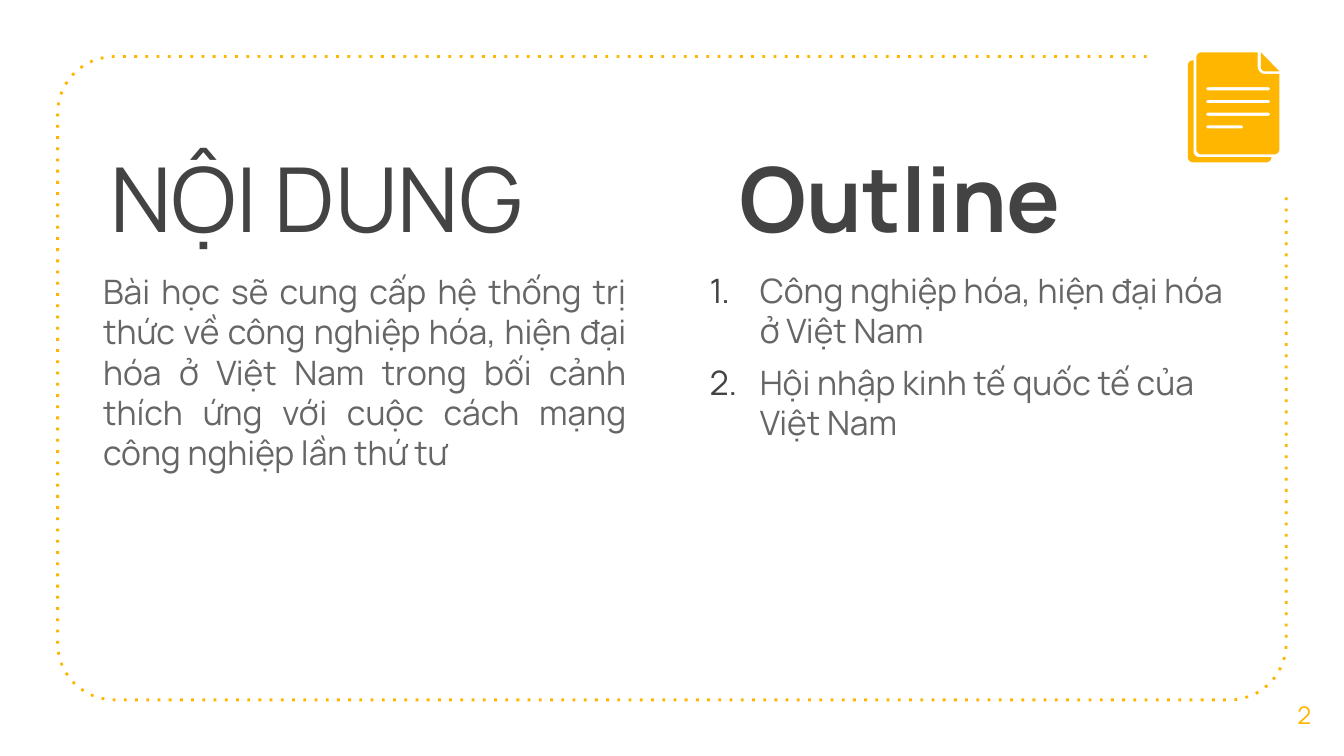
"""Build the outline slide of the lesson."""
from math import cos, radians, sin

from pptx import Presentation
from pptx.dml.color import RGBColor
from pptx.enum.dml import MSO_LINE
from pptx.enum.text import MSO_ANCHOR, MSO_AUTO_SIZE, PP_ALIGN
from pptx.oxml.ns import qn
from pptx.oxml.xmlchemy import OxmlElement
from pptx.util import Cm, Pt

GOLD = RGBColor(0xFF, 0xB6, 0x00)
DARK = RGBColor(0x43, 0x43, 0x43)
GRAY = RGBColor(0x66, 0x66, 0x66)
FONT = "Manrope"
LEFT, CENTER, JUST = PP_ALIGN.LEFT, PP_ALIGN.CENTER, PP_ALIGN.JUSTIFY
TOP, MIDDLE = MSO_ANCHOR.TOP, MSO_ANCHOR.MIDDLE
FIXED, DOT = MSO_AUTO_SIZE.NONE, MSO_LINE.ROUND_DOT

INTRO = ("Bài học sẽ cung cấp hệ thống trị thức về công nghiệp hóa, hiện đại hóa "
         "ở Việt Nam trong bối cảnh thích ứng với cuộc cách mạng công nghiệp lần thứ tư")
TOPICS = ("Công nghiệp hóa, hiện đại hóa ở Việt Nam",
          "Hội nhập kinh tế quốc tế của Việt Nam")


def place(shape, box):
    """Set left, top, width and height, given in centimetres."""
    shape.left, shape.top, shape.width, shape.height = map(Cm, box)


def number(para):
    """Turn a paragraph into a numbered item with a hanging indent."""
    props = para._p.get_or_add_pPr()
    props.set("marL", str(Cm(0.95)))
    props.set("indent", str(-Cm(0.95)))
    color = OxmlElement("a:buClr")
    shade = OxmlElement("a:srgbClr")
    shade.set("val", str(DARK))
    color.append(shade)
    font = OxmlElement("a:buFont")
    font.set("typeface", FONT)
    style = OxmlElement("a:buAutoNum")
    style.set("type", "arabicPeriod")
    props.extend((color, font, style))


def write(shape, *lines, size=18, color=GRAY, bold=False, align=LEFT,
          anchor=TOP, before=0, listed=False):
    """Fill a shape with formatted paragraphs."""
    frame = shape.text_frame
    frame.word_wrap, frame.auto_size = True, FIXED
    frame.vertical_anchor = anchor
    frame.margin_left = frame.margin_right = Cm(0.25)
    frame.margin_top = frame.margin_bottom = Cm(0.25)
    for i, line in enumerate(lines):
        para = frame.paragraphs[0] if i == 0 else frame.add_paragraph()
        para.alignment, para.space_before = align, Pt(before)
        run = para.add_run()
        run.text = line
        run.font.name, run.font.size = FONT, Pt(size)
        run.font.bold, run.font.color.rgb = bold, color
        if listed:
            number(para)


def label(slide, box, *lines, **style):
    """Add a text box with formatted text."""
    shape = slide.shapes.add_textbox(*map(Cm, box))
    write(shape, *lines, **style)


def arc(x, y, radius, start, end):
    """Return points along an arc around a centre, with angles in degrees."""
    turns = [radians(start + (end - start) * i / 12) for i in range(13)]
    return [(x + radius * cos(t), y + radius * sin(t)) for t in turns]


def trace(shapes, *paths, close=True):
    """Draw one freeform from one or more point lists in centimetres."""
    paths = [[(Cm(x), Cm(y)) for x, y in path] for path in paths]
    pen = shapes.build_freeform(*paths[0][0])
    for i, path in enumerate(paths):
        if i:
            pen.move_to(*path[0])
        pen.add_line_segments(path[1:], close=close)
    shape = pen.convert_to_shape()
    shape.shadow.inherit = False
    return shape


def border(slide):
    """Draw the dotted rounded frame that is open at the top right."""
    left, top, right, base, r = 1.09, 1.07, 24.31, 13.23, 1.07
    path = [(21.67, top), *arc(left + r, top + r, r, 270, 180),
            *arc(left + r, base - r, r, 180, 90),
            *arc(right - r, base - r, r, 90, 0), (right, 3.71)]
    shape = trace(slide.shapes, path, close=False)
    shape.fill.background()
    shape.line.color.rgb, shape.line.width = GOLD, Pt(1.5)
    shape.line.dash_style = DOT
    shape._element.spPr.find(qn("a:ln")).find(qn("a:prstDash")).set("val", "dot")


def pill(left, right, y, r=0.03):
    """Return the outline of a thin bar with round ends."""
    return arc(left, y, r, 90, 270) + arc(right, y, r, -90, 90)


def icon(slide):
    """Draw the stacked paper sheets."""
    shapes = slide.shapes.add_group_shape().shapes
    r = 0.1
    back = [(22.56, 1.14), *arc(22.45 + r, 1.14 + r, r, 270, 180),
            *arc(22.45 + r, 3.07 - r, r, 180, 90),
            *arc(24.03 - r, 3.07 - r, r, 90, 0),
            *arc(22.56 + r, 2.97 - r, r, 90, 180)]
    front = [(23.77, 0.99), *arc(22.61 + r, 0.99 + r, r, 270, 180),
             *arc(22.61 + r, 2.92 - r, r, 180, 90),
             *arc(24.18 - r, 2.92 - r, r, 90, 0), (24.18, 1.4),
             *arc(23.91, 1.26, 0.14, 90, 180)]
    rows = [pill(22.83, 23.46 if i == 3 else 23.97, 1.68 + 0.24 * i)
            for i in range(4)]
    fold = [(23.83, 0.99), *arc(23.91, 1.27, 0.08, 180, 90), (24.18, 1.35)]
    for paths in ([back], [front, *rows], [fold]):
        shape = trace(shapes, *paths)
        shape.fill.solid()
        shape.fill.fore_color.rgb = GOLD
        shape.line.fill.background()


def main():
    """Build and save the slide."""
    deck = Presentation()
    deck.slide_width, deck.slide_height = Cm(25.4), Cm(14.29)
    slide = deck.slides.add_slide(deck.slide_layouts[5])
    border(slide)
    title = slide.shapes.title
    place(title, (1.83, 2.46, 10.46, 2.39))
    write(title, "NỘI DUNG", size=48, color=DARK)
    label(slide, (1.7, 4.87, 10.39, 6), INTRO, align=JUST, before=6)
    label(slide, (23.9, 12.75, 1.5, 1.52), "2", size=13, color=GOLD,
          align=CENTER, anchor=MIDDLE)
    icon(slide)
    label(slide, (13.16, 4.85, 10.39, 6), *TOPICS, before=6, listed=True)
    label(slide, (13.72, 2.46, 10.46, 2.39), "Outline", size=48, color=DARK,
          bold=True)
    deck.save("out.pptx")


if __name__ == "__main__":
    main()
